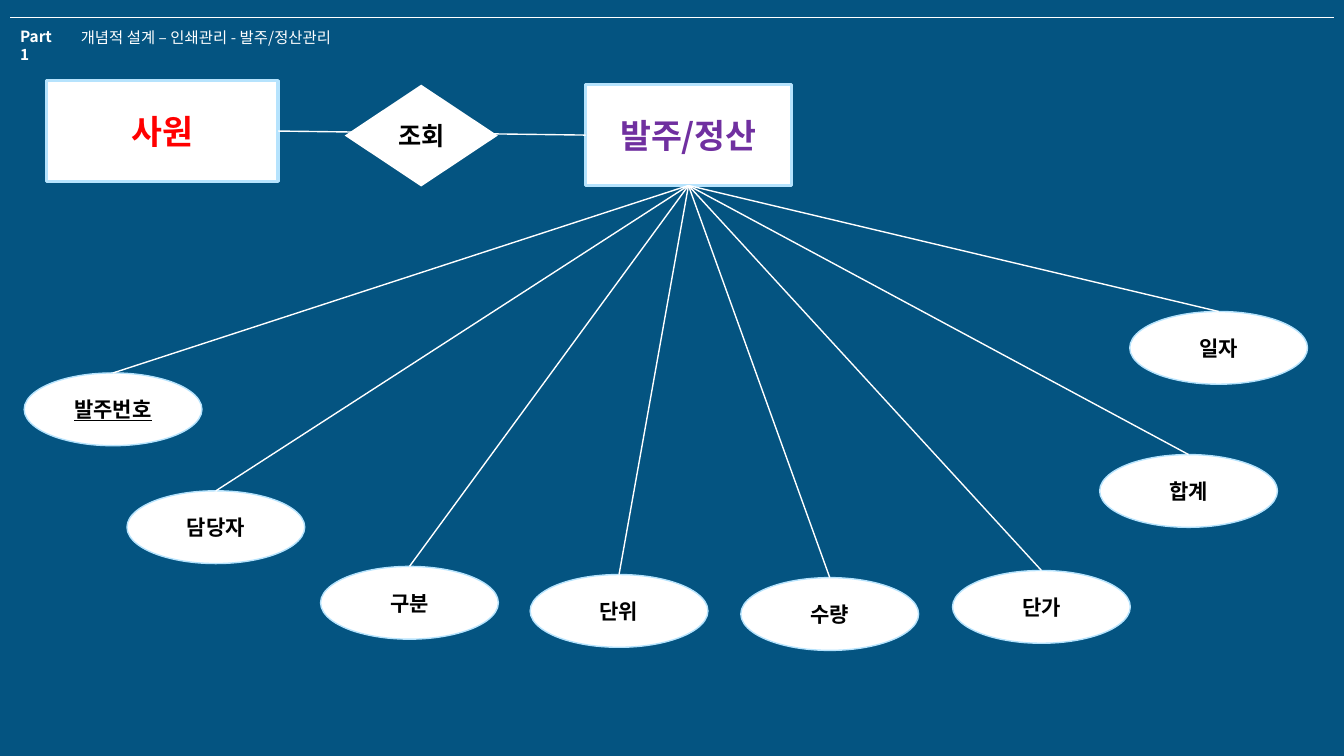
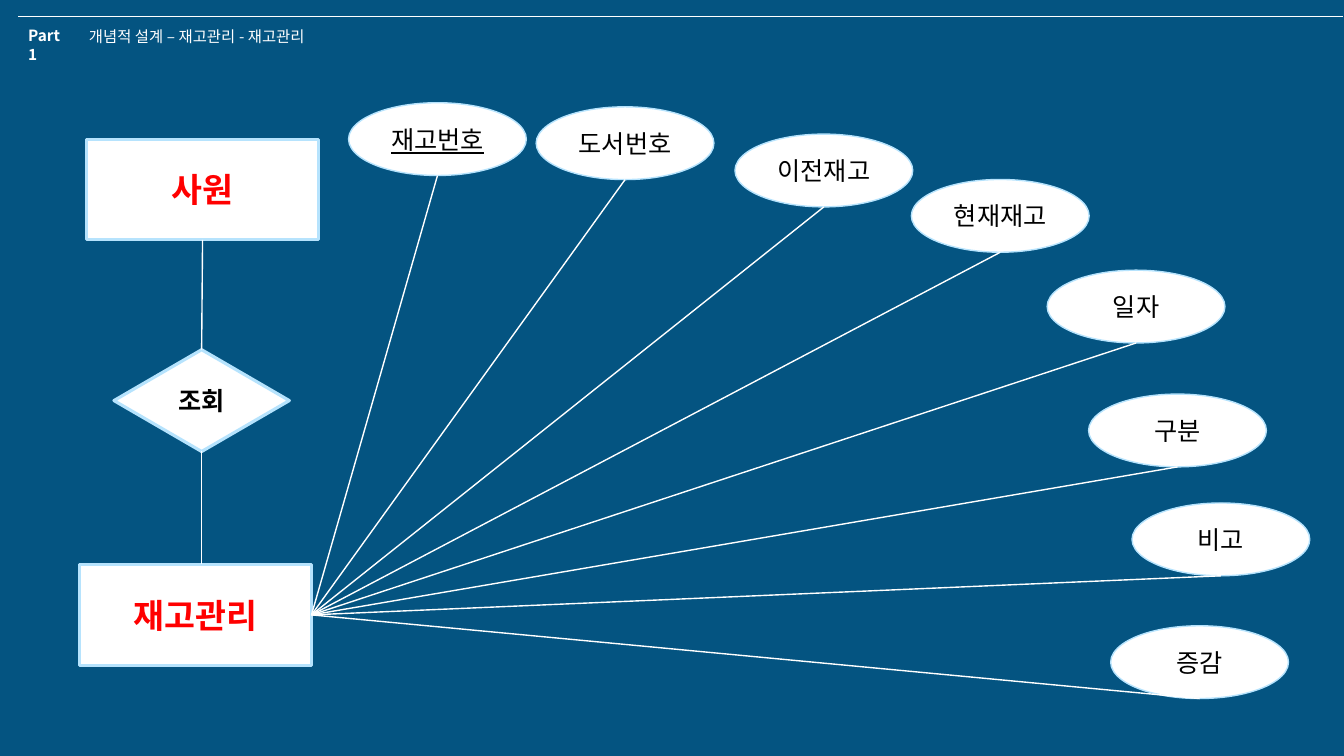
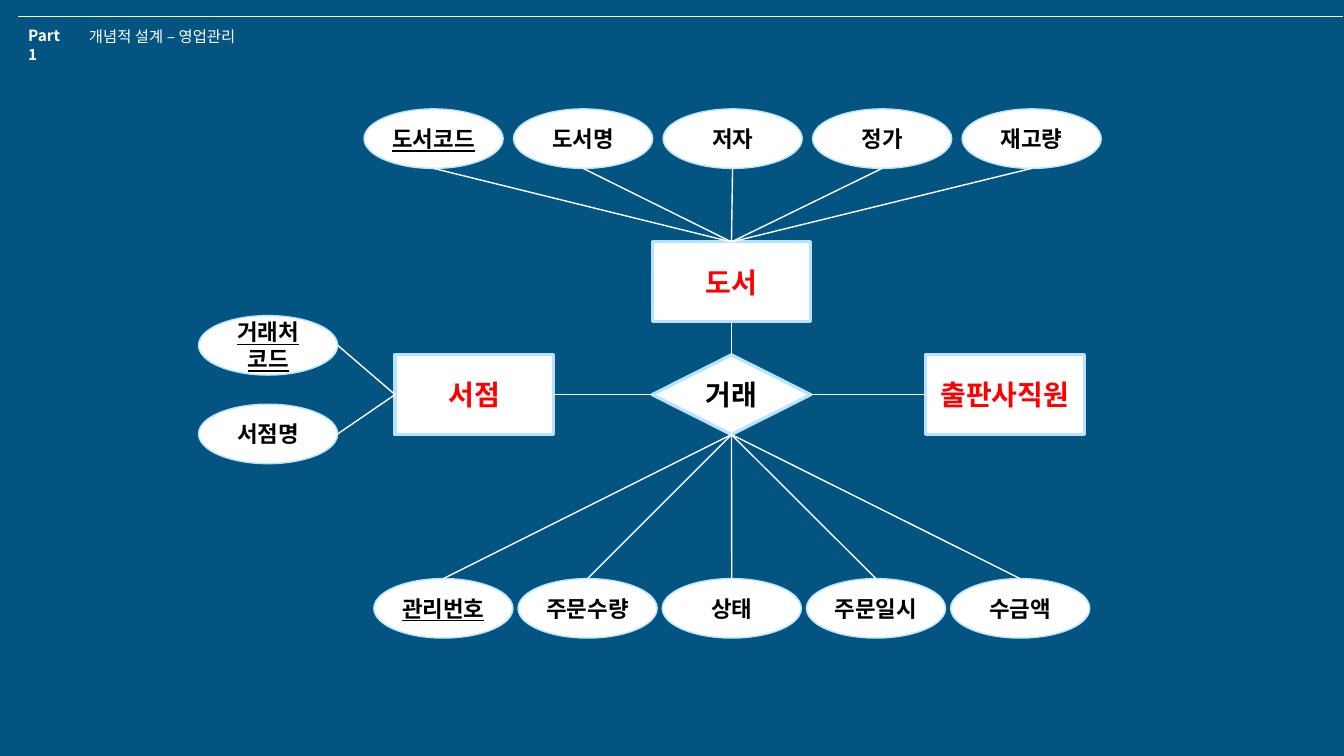
import pptx
import pptx.dml.color
import pptx.enum.dml
import pptx.enum.shapes
import pptx.enum.text
import pptx.oxml
import pptx.oxml.ns
import pptx.util
from lxml import etree

Pt = pptx.util.Pt
RGBColor = pptx.dml.color.RGBColor
SHAPES = pptx.enum.shapes.MSO_SHAPE
ALIGN = pptx.enum.text.PP_ALIGN
ANCHOR = pptx.enum.text.MSO_ANCHOR

# Shared look
NAVY = RGBColor(0x04, 0x54, 0x81)
WHITE = RGBColor(0xFF, 0xFF, 0xFF)
SKY = RGBColor(0xB6, 0xE3, 0xFD)
BLACK = RGBColor(0x00, 0x00, 0x00)
RED = RGBColor(0xFF, 0x00, 0x00)
PURPLE = RGBColor(0x70, 0x30, 0xA0)
FONT = "Noto Sans CJK KR"
TITLE_ONLY = 5
TOP, LEFT, BOTTOM, RIGHT = range(4)


def add_span(para, text, size, color, bold=False, underline=False):
    span = para.add_run()
    span.text = text
    font = span.font
    font.name, font.size, font.bold = FONT, Pt(size), bold
    if underline:
        font.underline = True
    font.color.rgb = color
    east_asian = etree.SubElement(font._element, pptx.oxml.ns.qn("a:ea"))
    east_asian.set("typeface", FONT)


def add_line(page, start, end, width=1):
    line = page.shapes.add_connector(
        pptx.enum.shapes.MSO_CONNECTOR.STRAIGHT,
        *(Pt(value) for value in (*start, *end)))
    line.line.color.rgb = WHITE
    line.line.width = Pt(width)
    etree.SubElement(line._element.spPr, pptx.oxml.ns.qn("a:effectLst"))
    return line


def add_node(page, kind, box, text, size, color=BLACK, bold=True,
             underline=False, border=2.25):
    node = page.shapes.add_shape(kind, *(Pt(value) for value in box))
    node.shadow.inherit = False
    node.fill.solid()
    node.fill.fore_color.rgb = WHITE
    if border:
        node.line.color.rgb = SKY
        node.line.width = Pt(border)
    else:
        node.line.fill.background()
    frame = node.text_frame
    frame.word_wrap = True
    frame.vertical_anchor = ANCHOR.MIDDLE
    frame.margin_left = frame.margin_right = 0
    frame.margin_top = frame.margin_bottom = 0
    for index, words in enumerate(text.split("\n")):
        para = frame.add_paragraph() if index else frame.paragraphs[0]
        para.alignment = ALIGN.CENTER
        add_span(para, words, size, color, bold, underline)
    return node


def add_entity(page, box, text, size=24, color=RED):
    return add_node(page, SHAPES.RECTANGLE, box, text, size, color)


def add_relation(page, box, text, size=18, border=2.25):
    return add_node(page, SHAPES.FLOWCHART_DECISION, box, text, size,
                    border=border)


def side_middle(node, side):
    across = {LEFT: 0, RIGHT: 1}.get(side, 0.5)
    down = {TOP: 0, BOTTOM: 1}.get(side, 0.5)
    return ((node.left + across * node.width) / Pt(1),
            (node.top + down * node.height) / Pt(1))


def join(page, first, first_side, second, second_side):
    line = add_line(page, side_middle(first, first_side),
                    side_middle(second, second_side))
    line.begin_connect(first, first_side)
    line.end_connect(second, second_side)


def add_attributes(page, hub, hub_side, side, size, names, places, font_size,
                   bold=True, key=True):
    """Ovals linked to one side of the hub; the first may be the key."""
    for index, (name, place) in enumerate(zip(names, places)):
        oval = add_node(page, SHAPES.OVAL, (*place, *size), name, font_size,
                        bold=bold, underline=key and index == 0, border=1)
        line = add_line(page, side_middle(hub, hub_side),
                        side_middle(oval, side))
        line.begin_connect(hub, hub_side)


def row(left, top, step, count):
    return [(left + step * index, top) for index in range(count)]


def add_header(page, left, top, title, title_width):
    add_line(page, (left, top), (left + 946, top), 0.5)
    # Section label
    label = page.shapes.add_textbox(Pt(left), Pt(top + 3.6), Pt(43.9), Pt(21))
    label.text_frame.word_wrap = True
    add_span(label.text_frame.paragraphs[0], "Part 1", 11, WHITE, bold=True)
    # Title
    box = page.shapes.title
    box.left, box.top = Pt(left + 43.3), Pt(top + 4.3)
    box.width, box.height = Pt(title_width), Pt(21)
    frame = box.text_frame
    frame.word_wrap = False
    frame.auto_size = pptx.enum.text.MSO_AUTO_SIZE.SHAPE_TO_FIT_TEXT
    frame.vertical_anchor = ANCHOR.TOP
    frame.paragraphs[0].alignment = ALIGN.LEFT
    add_span(frame.paragraphs[0], title, 11, WHITE)


def new_page(deck, left, top, title, title_width):
    page = deck.slides.add_slide(deck.slide_layouts[TITLE_ONLY])
    add_header(page, left, top, title, title_width)
    return page


def order_page(deck):
    page = new_page(deck, 7.2, 12.2,
                    "개념적 설계 – 인쇄관리 - 발주/정산관리", 207.4)
    employee = add_entity(page, (33, 57.6, 165.6, 72), "사원")
    order = add_entity(page, (418.3, 60.5, 147, 72), "발주/정산",
                       color=PURPLE)
    join(page, employee, RIGHT, order, LEFT)
    add_relation(page, (246.2, 60.5, 109.4, 72.7), "조회", border=0)
    add_attributes(
        page, order, BOTTOM, TOP, (127, 52),
        ["발주번호", "담당자", "구분", "단위", "수량", "단가", "합계", "일자"],
        [(17.3, 266.4), (90.7, 350.6), (229, 404.6), (378.7, 410.4),
         (529.2, 412.6), (680.4, 407.5), (785.5, 324.7), (807, 222.5)], 15)


def stock_page(deck):
    page = new_page(deck, 13, 11.5, "개념적 설계 – 재고관리 - 재고관리", 180.7)
    employee = add_entity(page, (61.9, 99.4, 165.6, 72), "사원")
    lookup = add_relation(page, (81.4, 249.8, 125.3, 72.7), "조회")
    stock = add_entity(page, (56.9, 403.2, 165.6, 72), "재고관리")
    join(page, employee, BOTTOM, lookup, TOP)
    # The stock box sits off centre, so this line drops straight to its edge
    center, bottom = side_middle(lookup, BOTTOM)
    drop = add_line(page, (center, bottom), (center, 403.2))
    drop.begin_connect(lookup, BOTTOM)
    add_attributes(
        page, stock, RIGHT, BOTTOM, (127, 52),
        ["재고번호", "도서번호", "이전재고", "현재재고",
         "일자", "구분", "비고", "증감"],
        [(249, 73.4), (383, 76.3), (525, 95.8), (651, 128.2),
         (748, 193), (777.6, 281.5), (808.6, 359.3), (793.4, 447)],
        18, bold=False)


def sales_page(deck):
    page = new_page(deck, 13, 11.5, "개념적 설계 – 영업관리", 127.4)
    size, oval = (113.4, 57), (99.4, 42.5)
    middle, center = 253.4, 465.8
    # Entities around the trade
    trade = add_relation(page, (center, middle, *size), "거래", 20)
    book = add_entity(page, (center, 172.8, *size), "도서", 20)
    shop = add_entity(page, (282.2, middle, *size), "서점", 20)
    staff = add_entity(page, (661, middle, *size), "출판사직원", 20)
    join(page, book, BOTTOM, trade, TOP)
    join(page, trade, LEFT, shop, RIGHT)
    join(page, staff, LEFT, trade, RIGHT)
    # Attributes
    add_attributes(page, book, TOP, BOTTOM, oval,
                   ["도서코드", "도서명", "저자", "정가", "재고량"],
                   row(260, 77.8, 106.8, 5), 16)
    add_attributes(page, trade, BOTTOM, TOP, oval,
                   ["관리번호", "주문수량", "상태", "주문일시", "수금액"],
                   row(267, 413.3, 103, 5), 16)
    add_attributes(page, shop, LEFT, RIGHT, oval, ["거래처\n코드", "서점명"],
                   [(141.8, 225.4), (141.8, 288.7)], 16)


def main():
    deck = pptx.Presentation()
    deck.slide_width, deck.slide_height = Pt(960), Pt(540)
    backdrop = deck.slide_master.background.fill
    backdrop.solid()
    backdrop.fore_color.rgb = NAVY
    order_page(deck)
    stock_page(deck)
    sales_page(deck)
    deck.save("out.pptx")


if __name__ == "__main__":
    main()
